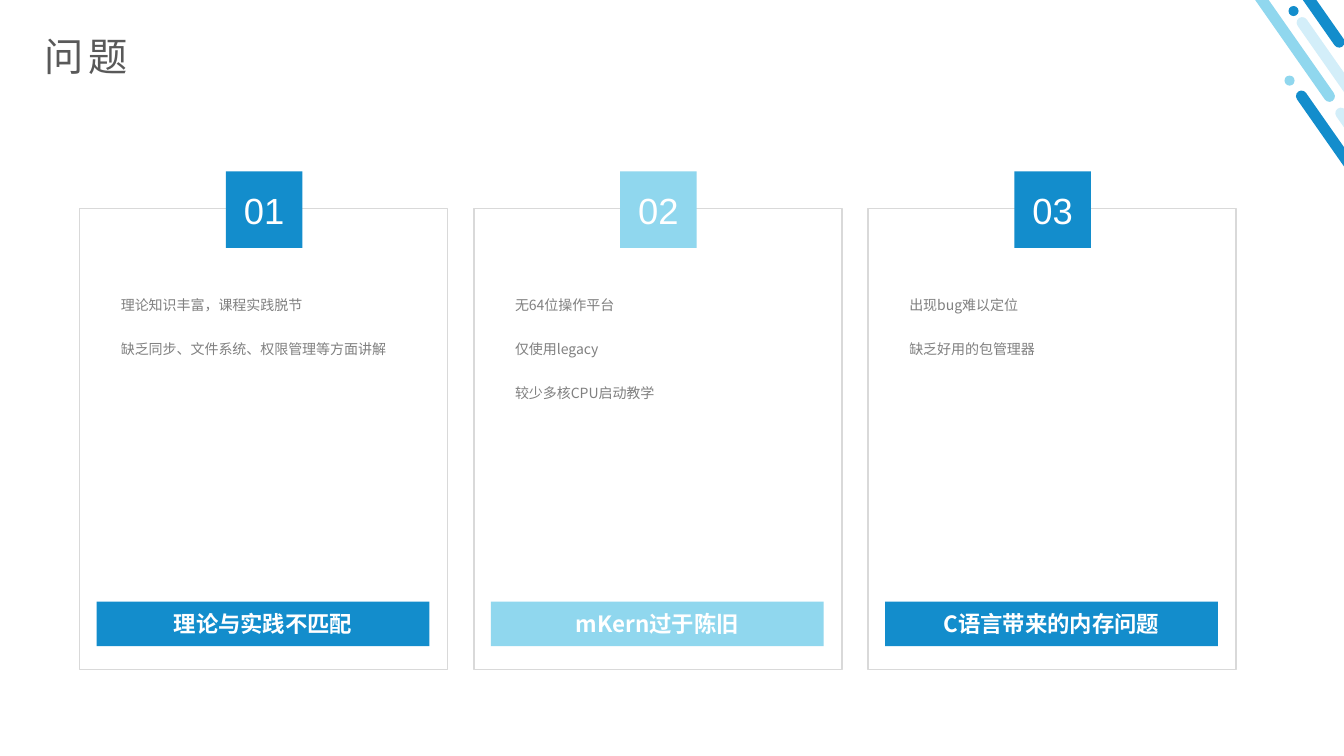
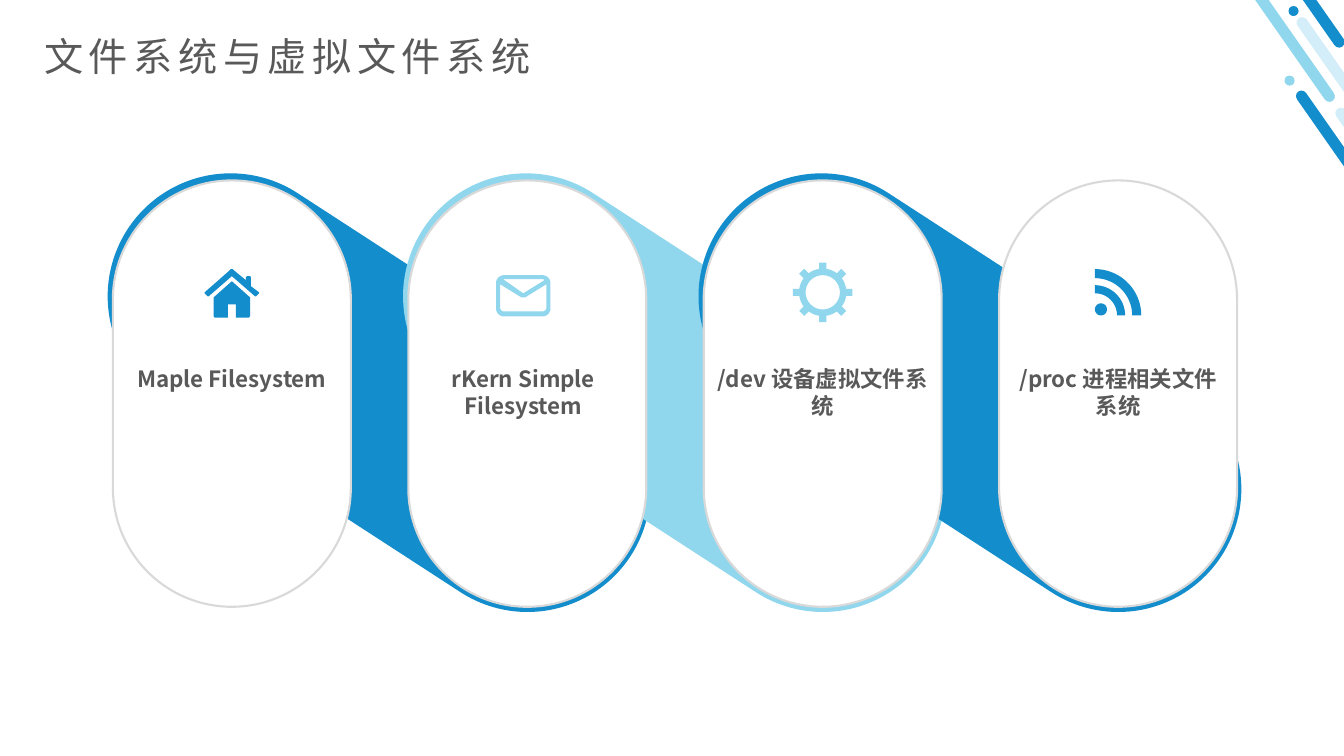
from dataclasses import dataclass
from functools import partial
from math import asin, cos, degrees, radians, sin

from lxml.etree import SubElement
from pptx import Presentation
from pptx.dml.color import RGBColor
from pptx.enum.shapes import MSO_SHAPE
from pptx.enum.text import MSO_ANCHOR, PP_ALIGN
from pptx.oxml.ns import qn
from pptx.util import Pt

PX = 9144  # EMU in one px, 100 px to the inch
COLORS = {
    "blue": "138DCC", "sky": "90D7EE", "pale": "D3EEF9", "white": "FFFFFF",
    "border": "D9D9D9", "heading": "595959", "body": "808080",
}
CJK, LATIN = "Noto Sans CJK SC", "Arial"
Points = list[tuple[float, float]]


@dataclass
class Bar:
    x: int
    y: int
    h: int
    color: str


@dataclass
class Dot:
    x: int
    y: int
    color: str


@dataclass
class Card:
    number: str
    label: str
    lines: list[str]
    color: str


@dataclass
class Pill:
    label: str
    icon: list[Points]
    icon_color: str
    nudge: int = 0


CORNER_BARS = [
    Bar(1345, 71, 219, "blue"), Bar(1384, 88, 219, "pale"), Bar(1237, -151, 276, "sky"),
    Bar(1362, -7, 276, "pale"), Bar(1263, -153, 219, "blue"),
]
CORNER_DOTS = [Dot(1274, 75, "sky"), Dot(1278, 6, "blue")]


def rgb(name: str) -> RGBColor:
    return RGBColor.from_string(COLORS[name])


def paint(shape, fill: str | None = None, line: str | None = None, width: float = 1) -> None:
    shape.shadow.inherit = False
    if fill:
        shape.fill.solid()
        shape.fill.fore_color.rgb = rgb(fill)
    else:
        shape.fill.background()
    if line:
        shape.line.color.rgb = rgb(line)
        shape.line.width = Pt(width)
    else:
        shape.line.fill.background()


def add_box(shapes, kind, x: int, y: int, w: int, h: int, *, rotation: int = 0, **look):
    sp = shapes.add_shape(kind, x * PX, y * PX, w * PX, h * PX)
    if kind == MSO_SHAPE.ROUNDED_RECTANGLE:
        sp.adjustments[0] = 0.5
    sp.rotation = rotation
    paint(sp, **look)
    return sp


def write(tf, text: str, *, size: int, color: str, font: str = CJK, bold: bool = False,
          align=PP_ALIGN.LEFT, anchor=MSO_ANCHOR.TOP, tracking: int = 0,
          line_spacing: float | None = None, before: float = 0) -> None:
    """Fill a text frame, one paragraph for each line of text."""
    tf.word_wrap = True
    tf.vertical_anchor = anchor
    for i, line in enumerate(text.split("\n")):
        p = tf.add_paragraph() if i else tf.paragraphs[0]
        p.alignment = align
        p.space_before = Pt(before)
        if line_spacing:
            p.line_spacing = line_spacing
        r = p.add_run()
        r.text = line
        r.font.name, r.font.size, r.font.bold = font, Pt(size), bold
        r.font.color.rgb = rgb(color)
        rpr = r.font._element
        SubElement(rpr, qn("a:ea")).set("typeface", font)
        if tracking:
            rpr.set("spc", str(tracking * 100))


def add_text(s, text: str, x: int, y: int, w: int, h: int, **style) -> None:
    write(s.shapes.add_textbox(x * PX, y * PX, w * PX, h * PX).text_frame, text, **style)


center_text = partial(write, align=PP_ALIGN.CENTER, anchor=MSO_ANCHOR.MIDDLE, color="white")


def arc(cx: float, cy: float, radius: float, start: float, end: float, steps: int = 12) -> Points:
    angles = [radians(start + (end - start) * i / steps) for i in range(steps + 1)]
    return [(cx + radius * cos(a), cy + radius * sin(a)) for a in angles]


def add_outline(s, contours: list[Points], x: int, y: int, color: str) -> None:
    """Draw closed contours, given in px around the point x, y, as one shape."""
    placed = [[((x + dx) * PX, (y + dy) * PX) for dx, dy in c] for c in contours]
    builder = s.shapes.build_freeform(*placed[0][0], scale=1.0)
    for i, (first, *rest) in enumerate(placed):
        if i:
            builder.move_to(*first)
        builder.add_line_segments(rest, close=True)
    paint(builder.convert_to_shape(), fill=color)


def house() -> list[Points]:
    walls = [(-18, 5), (0, -11), (18, 5), (18, 24), (17, 25), (4, 25), (4, 12), (-4, 12),
             (-4, 25), (-17, 25), (-18, 24)]
    roof = [(-3, -21), (-1, -23), (1, -23), (3, -21), (14, -12), (14, -15), (15, -16), (18, -16),
            (19, -15), (19, -6), (27, 0), (27, 1), (24, 4), (23, 4), (0, -16), (-23, 4),
            (-24, 4), (-27, 1), (-27, 0)]
    return [walls, roof]


def envelope() -> list[Points]:
    corners = [(-19, -9, 180), (19, -9, 270), (19, 16, 0), (-19, 16, 90)]
    outside = [pt for cx, cy, a in corners for pt in arc(cx, cy, 8, a, a + 90)]
    flap = [(-20, -13), (20, -13), (21, -12), (0, 1)]
    front = [(-23, -8), (-2, 5), (2, 5), (23, -8)] + arc(19, 15, 4, 0, 90) + arc(-19, 15, 4, 90, 180)
    return [outside, flap, front]


def gear() -> list[Points]:
    rim, tip, half = 23.5, 29.5, 3.5
    base = degrees(asin(half / rim))
    outside: Points = []
    for angle in range(0, 360, 45):
        c, n = cos(radians(angle)), sin(radians(angle))
        outside += [(tip * c - d * n, tip * n + d * c) for d in (-half, half)]
        outside += arc(0, 0, rim, angle + base, angle + 45 - base)
    return [outside, arc(0, 0, 17, 0, 360, 48)]


def feed() -> list[Points]:
    waves = [arc(-23, 23, outer, -90, 0, 24) + arc(-23, 23, inner, 0, -90, 24)
             for outer, inner in ((46, 37), (30, 22))]
    return [*waves, arc(-17, 17, 6, 0, 360, 36)]


def add_slide(prs, title: str):
    """Add a blank slide with the corner stripes and the title."""
    s = prs.slides.add_slide(prs.slide_layouts[6])
    corner = s.shapes.add_group_shape().shapes
    for b in CORNER_BARS:
        add_box(corner, MSO_SHAPE.ROUNDED_RECTANGLE, b.x, b.y, 11, b.h, rotation=325, fill=b.color)
    for d in CORNER_DOTS:
        add_box(corner, MSO_SHAPE.OVAL, d.x, d.y, 10, 10, fill=d.color)
    add_text(s, title, 34, 27, 1290, 57, size=28, color="heading", tracking=4)
    return s


def add_card(s, card: Card, x: int) -> None:
    add_box(s.shapes, MSO_SHAPE.RECTANGLE, x, 207, 365, 457, line="border")
    bar = add_box(s.shapes, MSO_SHAPE.RECTANGLE, x + 17, 597, 330, 44, fill=card.color)
    center_text(bar.text_frame, card.label, size=16, bold=True)
    badge = add_box(s.shapes, MSO_SHAPE.RECTANGLE, x + 145, 170, 76, 76, fill=card.color)
    center_text(badge.text_frame, card.number, size=26, font=LATIN)
    add_text(s, "\n".join(card.lines), x + 31, 281, 301, 122, size=10, color="body",
             line_spacing=1.5, before=13.3)


def add_pill(s, pill: Pill, x: int) -> None:
    add_box(s.shapes, MSO_SHAPE.ROUNDED_RECTANGLE, x, 179, 236, 423,
            fill="white", line="border", width=1.5)
    add_text(s, pill.label, x + 4 + pill.nudge, 357, 228, 64, size=16, color="heading",
             bold=True, align=PP_ALIGN.CENTER)
    add_outline(s, pill.icon, x + 118 + pill.nudge, 290, pill.icon_color)


def problems_slide(prs) -> None:
    s = add_slide(prs, "问题")
    cards = [
        Card("01", "理论与实践不匹配",
             ["理论知识丰富，课程实践脱节", "缺乏同步、文件系统、权限管理等方面讲解"], "blue"),
        Card("02", "mKern过于陈旧",
             ["无64位操作平台", "仅使用legacy", "较少多核CPU启动教学"], "sky"),
        Card("03", "C语言带来的内存问题", ["出现bug难以定位", "缺乏好用的包管理器"], "blue"),
    ]
    for i, card in enumerate(cards):
        add_card(s, card, 79 + 391 * i)


def filesystems_slide(prs) -> None:
    s = add_slide(prs, "文件系统与虚拟文件系统")
    pills = [
        Pill("Maple Filesystem", house(), "blue"),
        Pill("rKern Simple Filesystem", envelope(), "sky", nudge=-4),
        Pill("/dev 设备虚拟文件系统", gear(), "sky"),
        Pill("/proc 进程相关文件系统", feed(), "blue"),
    ]
    left, pitch = 112, 293
    for i, color in enumerate(("blue", "sky", "blue")):
        add_box(s.shapes, MSO_SHAPE.ROUNDED_RECTANGLE, left + 142 + pitch * i, 92, 244, 595,
                rotation=303, fill=color)
    for i, pill in enumerate(pills):
        add_pill(s, pill, left + pitch * i)


def main() -> None:
    prs = Presentation()
    prs.slide_width, prs.slide_height = 1333 * PX, 750 * PX
    problems_slide(prs)
    filesystems_slide(prs)
    prs.save("out.pptx")


if __name__ == "__main__":
    main()
